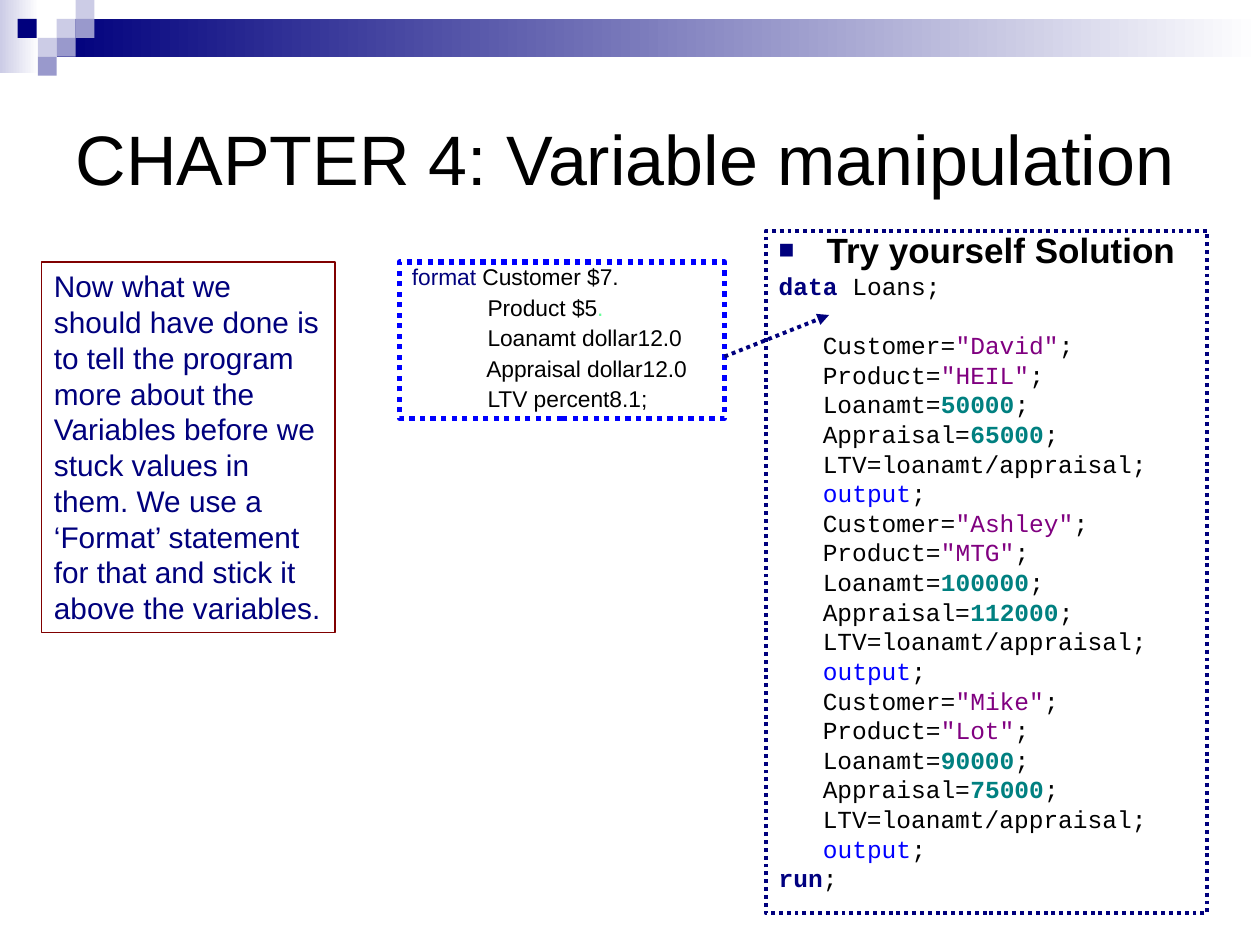
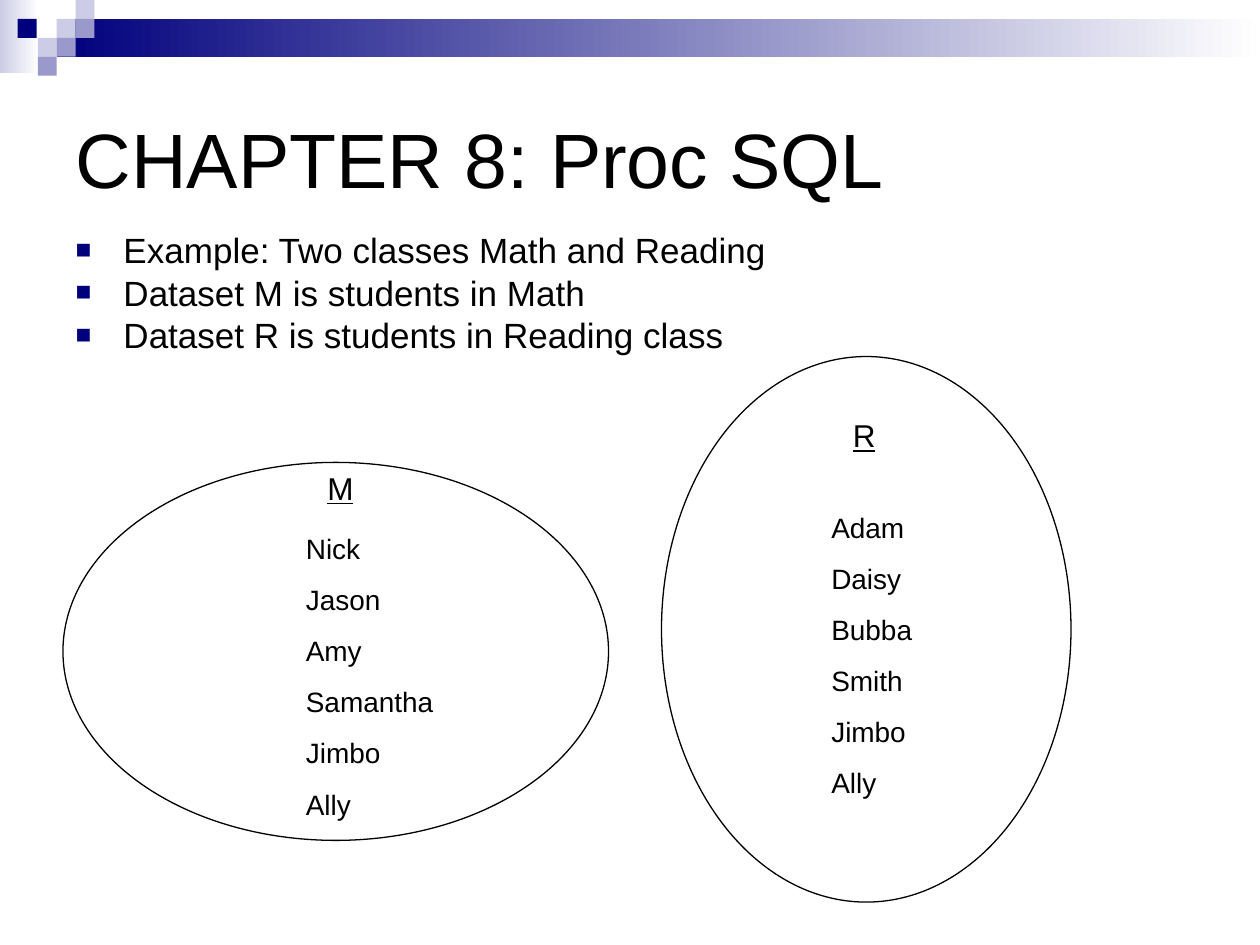
from dataclasses import dataclass
from typing import NamedTuple, Optional

from lxml.etree import SubElement
from pptx import Presentation
from pptx.dml.color import RGBColor
from pptx.enum.dml import MSO_LINE_DASH_STYLE as Dash
from pptx.enum.shapes import MSO_CONNECTOR as Connector, MSO_SHAPE as Preset
from pptx.enum.text import MSO_ANCHOR as Anchor, MSO_AUTO_SIZE as AutoSize, PP_ALIGN as Align
from pptx.oxml.ns import qn
from pptx.util import Inches, Pt

COLORS = {
    "text": "000000", "white": "FFFFFF", "navy": "00007D", "lavender": "CCCCE6",
    "periwinkle": "9999CC", "maroon": "800000", "blue": "0000FF", "string": "800080",
    "number": "008080", "run": "000080", "mint": "66FF99",
}
SQUARE = 0.15


class Area(NamedTuple):
    left: float
    top: float
    width: float
    height: float

    def lengths(self) -> list:
        return [Inches(value) for value in self]


class Piece(NamedTuple):
    text: str
    color: str = "text"
    bold: bool = False


class Border(NamedTuple):
    color: str
    width: float
    dotted: bool = False


@dataclass
class Line:
    pieces: list
    size: float
    font: str = "Arial"
    before: float = 0
    spacing: float = 1.0
    hanging: bool = False
    bullet: bool = False
    underline: bool = False


@dataclass
class Note:
    area: Area
    lines: list
    border: Optional[Border] = None


@dataclass
class StudentSet:
    oval: Area
    heading: Note
    names: Note


def rgb(color: str) -> RGBColor:
    return RGBColor.from_string(COLORS[color])


def place(shape, area: Area) -> None:
    for side, length in zip(("left", "top", "width", "height"), area.lengths()):
        setattr(shape, side, length)


def draw_border(line, border: Border) -> None:
    line.color.rgb = rgb(border.color)
    line.width = Pt(border.width)
    if border.dotted:
        line.dash_style = Dash.ROUND_DOT


def set_bullet(paragraph, line: Line) -> None:
    properties = paragraph._p.get_or_add_pPr()
    indent = Inches(0.38) if line.hanging else 0
    properties.set("marL", str(indent))
    properties.set("indent", str(-indent))
    if not line.bullet:
        SubElement(properties, qn("a:buNone"))
        return
    tint = SubElement(properties, qn("a:buClr"))
    SubElement(tint, qn("a:srgbClr"), val=COLORS["navy"])
    SubElement(properties, qn("a:buSzPct"), val="75000")
    SubElement(properties, qn("a:buFont"), typeface="Arial")
    SubElement(properties, qn("a:buChar"), char="■")


def write(frame, lines: list, anchor=Anchor.TOP) -> None:
    layout = {"word_wrap": True, "auto_size": AutoSize.NONE, "vertical_anchor": anchor,
              "margin_left": Inches(0.1), "margin_right": Inches(0.1),
              "margin_top": Inches(0.05), "margin_bottom": Inches(0.05)}
    for name, value in layout.items():
        setattr(frame, name, value)
    for index, line in enumerate(lines):
        paragraph = frame.add_paragraph() if index else frame.paragraphs[0]
        set_bullet(paragraph, line)
        spacing = {"alignment": Align.LEFT, "line_spacing": line.spacing,
                   "space_before": Pt(line.before if index else 0), "space_after": Pt(0)}
        for name, value in spacing.items():
            setattr(paragraph, name, value)
        for piece in line.pieces:
            run = paragraph.add_run()
            run.text = piece.text
            look = {"name": line.font, "size": Pt(line.size), "bold": piece.bold,
                    "underline": line.underline}
            for name, value in look.items():
                setattr(run.font, name, value)
            run.font.color.rgb = rgb(piece.color)


def add_note(slide, note: Note) -> None:
    box = slide.shapes.add_textbox(*note.area.lengths())
    write(box.text_frame, note.lines)
    if note.border:
        draw_border(box.line, note.border)


def add_oval(slide, area: Area) -> None:
    oval = slide.shapes.add_shape(Preset.OVAL, *area.lengths())
    oval.shadow.inherit = False
    oval.fill.background()
    draw_border(oval.line, Border("text", 0.75))


def add_arrow(slide, start: tuple, end: tuple, border: Border) -> None:
    ends = [Inches(value) for value in start + end]
    arrow = slide.shapes.add_connector(Connector.STRAIGHT, *ends)
    draw_border(arrow.line, border)
    SubElement(arrow.line._get_or_add_ln(), qn("a:tailEnd"), type="triangle")
    SubElement(arrow._element.spPr, qn("a:effectLst"))


def add_band(slide, layout) -> None:
    fades = [(Area(0, 0, 0.31, 0.58), "lavender"), (Area(0.45, 0.15, 9.55, 0.3), "navy")]
    squares = [(0.45, 0.15, "lavender"), (0.6, 0, "lavender"), (0.6, 0.15, "periwinkle"),
               (0.3, 0.3, "lavender"), (0.14, 0.15, "navy"), (0.45, 0.3, "periwinkle"),
               (0.3, 0.45, "periwinkle")]
    tiles = [(Area(left, top, SQUARE, SQUARE), color) for left, top, color in squares]
    for area, color in fades + tiles:
        tile = slide.shapes.add_shape(Preset.RECTANGLE, *area.lengths())
        tile.shadow.inherit = False
        tile.line.fill.background()
        if (area, color) in fades:
            tile.fill.gradient()
            tile.fill.gradient_angle = 180
            for stop, shade in zip(tile.fill.gradient_stops, ("white", color)):
                stop.color.rgb = rgb(shade)
        else:
            tile.fill.solid()
            tile.fill.fore_color.rgb = rgb(color)
        layout.shapes.element.append(tile._element)


def add_chapter(deck, title: str, size: float, body_area: Area, body_lines: list):
    slide = deck.slides.add_slide(deck.slide_layouts[1])
    heading, body = slide.shapes.title, slide.placeholders[1]
    place(heading, Area(0.5, 0.5, 9, 1.5))
    write(heading.text_frame, [Line([Piece(title)], size)], Anchor.MIDDLE)
    place(body, body_area)
    write(body.text_frame, body_lines)
    return slide


def topic(text: str, bold: bool = False) -> Line:
    return Line([Piece(text, bold=bold)], 20, before=5, spacing=0.8, hanging=True, bullet=True)


def code(*pieces: Piece, before: float = 3.5) -> Line:
    return Line(list(pieces), 14, "Courier New", before, 0.8, hanging=True)


def loan_code(customer: str, product: str, amount: int, appraisal: int, before: float) -> list:
    end = Piece(";")
    return [
        code(Piece("   Customer="), Piece(f'"{customer}"', "string"), end, before=before),
        code(Piece("   Product="), Piece(f'"{product}"', "string"), end),
        code(Piece("   Loanamt="), Piece(str(amount), "number", True), end),
        code(Piece("   Appraisal="), Piece(str(appraisal), "number", True), end),
        code(Piece("   LTV=loanamt/appraisal;")),
        code(Piece("   "), Piece("output", "blue"), end),
    ]


def build_variables(deck):
    loans = [("David", "HEIL", 50000, 65000, 20.4), ("Ashley", "MTG", 100000, 112000, 3.5),
             ("Mike", "Lot", 90000, 75000, 3.5)]
    solution = [topic("Try yourself Solution", True),
                code(Piece("data", "navy", True), Piece(" Loans;"))]
    for loan in loans:
        solution += loan_code(*loan)
    solution.append(code(Piece("run", "run", True), Piece(";")))
    slide = add_chapter(deck, "CHAPTER 4: Variable manipulation", 40,
                        Area(6.08, 1.83, 3.5, 5.42), solution)
    dotted_navy = Border("navy", 2.25, True)
    draw_border(slide.placeholders[1].line, dotted_navy)

    advice = ("Now what we should have done is to tell the program more about the Variables "
              "before we stuck values in them. We use a ‘Format’ statement for that and "
              "stick it above the variables.")
    add_note(slide, Note(Area(0.33, 2.08, 2.33, 2.94), [Line([Piece(advice, "navy")], 17)],
                         Border("maroon", 0.75)))
    statement = [
        [Piece("format", "navy"), Piece(" Customer $7.")],
        [Piece("            Product $5"), Piece(".", "mint")],
        [Piece("            Loanamt dollar12.0")],
        [Piece("            Appraisal dollar12.0")],
        [Piece("            LTV percent8.1;")],
    ]
    add_note(slide, Note(Area(3.17, 2.08, 2.58, 1.24),
                         [Line(pieces, 13, before=4.9, spacing=0.8) for pieces in statement],
                         Border("blue", 3, True)))
    add_arrow(slide, (5.75, 2.83), (6.58, 2.5), dotted_navy)
    return slide


def student_set(oval: Area, letter: str, letter_area: Area, names: str, names_area: Area) -> StudentSet:
    heading = Note(letter_area, [Line([Piece(letter)], 18, underline=True)])
    students = [Line([Piece(name)], 16, before=10) for name in names.split()]
    return StudentSet(oval, heading, Note(names_area, students))


def build_sql(deck) -> None:
    topics = ["Example: Two classes Math and Reading", "Dataset M is students in Math",
              "Dataset R is students in Reading class"]
    slide = add_chapter(deck, "CHAPTER 8: Proc SQL", 44, Area(0.5, 1.83, 8.83, 1.08),
                        [topic(text) for text in topics])
    math = student_set(Area(0.5, 3.67, 4.33, 3), "M", Area(2.5, 3.67, 0.67, 0.4),
                       "Nick Jason Amy Samantha Jimbo Ally", Area(2.33, 4.17, 1.83, 2.4))
    reading = student_set(Area(5.25, 2.83, 3.25, 4.33), "R", Area(6.67, 3.25, 1.67, 0.4),
                          "Adam Daisy Bubba Smith Jimbo Ally", Area(6.5, 4, 1.17, 2.4))
    for students in (math, reading):
        add_oval(slide, students.oval)
        add_note(slide, students.heading)
        add_note(slide, students.names)


def main() -> None:
    deck = Presentation()
    deck.slide_width, deck.slide_height = Inches(10), Inches(7.5)
    variables = build_variables(deck)
    add_band(variables, deck.slide_layouts[1])
    build_sql(deck)
    deck.save("out.pptx")


if __name__ == "__main__":
    main()
